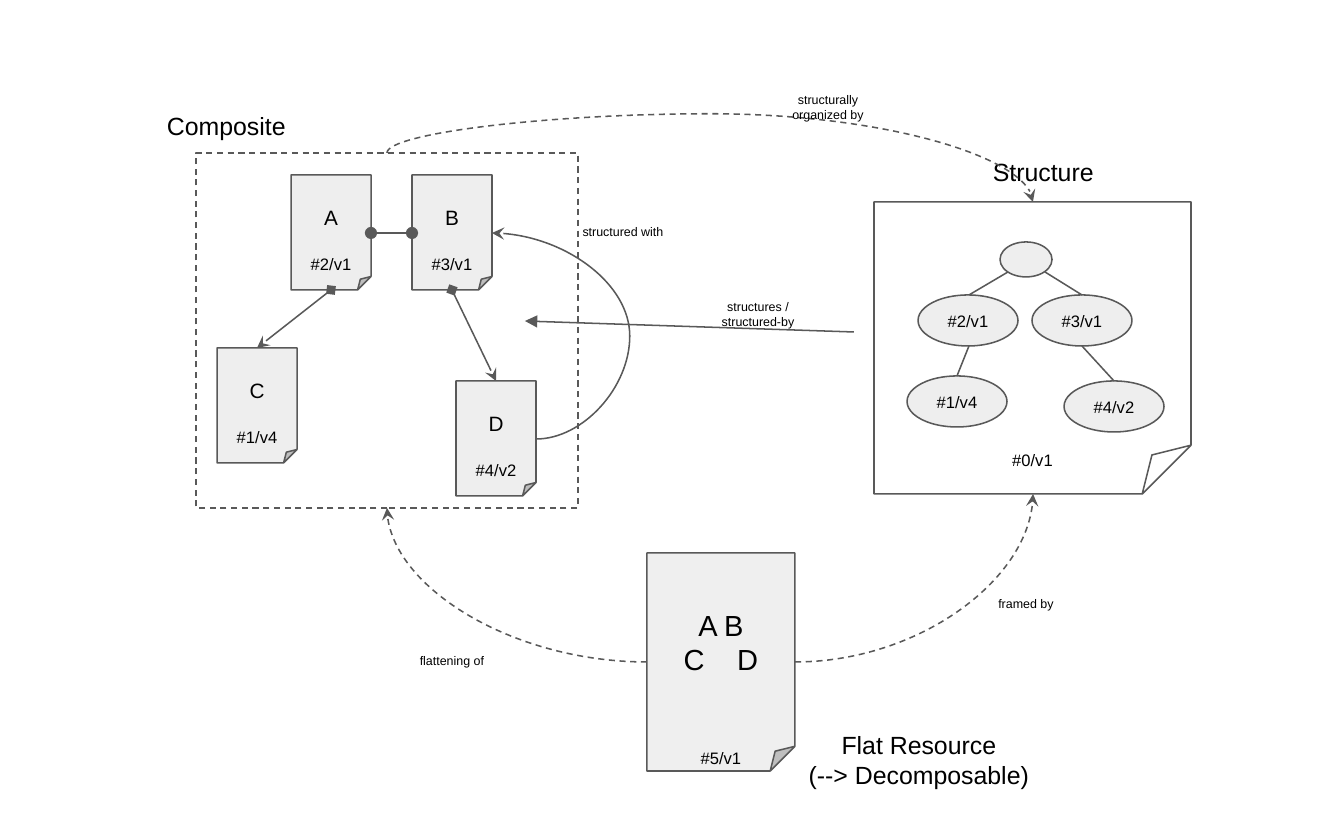
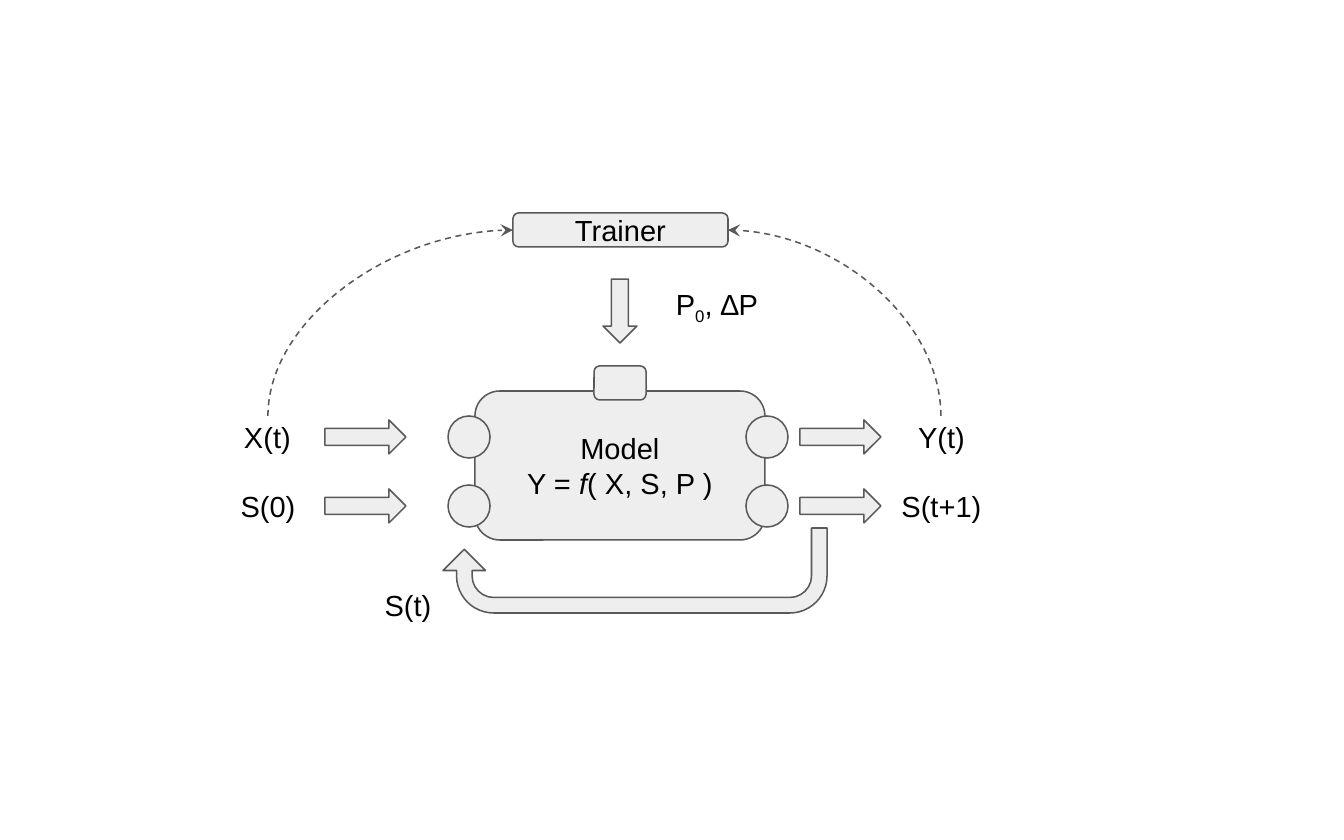
"""Two diagrams: composite resource structure, and a trained model with state."""
from lxml import etree
from pptx import Presentation
from pptx import util as u
from pptx.dml.color import RGBColor
from pptx.enum import dml, shapes, text
from pptx.oxml.ns import qn

PX = 914400 / 149.3
HEX = {"ink": "000000", "line": "595959", "fill": "EEEEEE", "flat": "EFEFEF"}
FONT = "Arial"
KIND = shapes.MSO_SHAPE
JOIN = shapes.MSO_CONNECTOR
MID, TOP = text.MSO_ANCHOR.MIDDLE, text.MSO_ANCHOR.TOP
LEFT, CENTER = text.PP_ALIGN.LEFT, text.PP_ALIGN.CENTER


def emu(*vals):
    """Turn pixels into EMU."""
    return [u.Emu(round(v * PX)) for v in vals]


def color(name):
    """Look up a colour by name."""
    return RGBColor.from_string(HEX[name])


def style(para, size, align=CENTER):
    """Format a whole paragraph."""
    para.alignment = align
    para.font.name = FONT
    para.font.size = u.Pt(size)
    para.font.color.rgb = color("ink")


def setup(shape, pad=(0, 0), anchor=MID):
    """Prepare a text frame with side and top padding in pixels."""
    frame = shape.text_frame
    side, top = emu(*pad)
    frame.margin_left = frame.margin_right = side
    frame.margin_top = top
    frame.margin_bottom = top if anchor == MID else 0
    frame.vertical_anchor = anchor
    frame.word_wrap = True
    return frame


def stroke(line, dash=False):
    """Apply the common outline."""
    line.color.rgb = color("line")
    line.width = u.Pt(0.75)
    if dash:
        line.dash_style = dml.MSO_LINE.DASH


def adjust(shape, vals):
    """Write the geometry guides of a shape or connector."""
    geom = shape._element.spPr.find(qn("a:prstGeom"))
    guides = geom.find(qn("a:avLst"))
    if guides is None:
        guides = etree.SubElement(geom, qn("a:avLst"))
    for old in list(guides):
        guides.remove(old)
    solo = geom.get("prst") in ("foldedCorner", "roundRect")
    for i, val in enumerate(vals, 1):
        etree.SubElement(guides, qn("a:gd"), name="adj" if solo else f"adj{i}",
                         fmla=f"val {round(val * 100000)}")


def block(to, kind, box, fill="fill", dash=False, adj=()):
    """Add an outlined preset shape."""
    shape = to.add_shape(kind, *emu(*box))
    shape.shadow.inherit = False
    stroke(shape.line, dash)
    if fill:
        shape.fill.solid()
        shape.fill.fore_color.rgb = color(fill)
    else:
        shape.fill.background()
    if adj:
        adjust(shape, adj)
    return shape


def write(shape, words, size):
    """Centre one paragraph in a shape and return it."""
    para = setup(shape).paragraphs[0]
    para.text = words
    style(para, size)
    return para


def label(to, box, words, size, anchor=TOP, align=CENTER):
    """Add a free text label and return its paragraph."""
    frame = setup(to.add_textbox(*emu(*box)), (15, 15), anchor)
    para = frame.paragraphs[0]
    para.text = words
    style(para, size, align)
    return para


def sheet(to, box, top, rows, fill="fill"):
    """Add a folded sheet; rows are (words, size, space before in points)."""
    shape = block(to, KIND.FOLDED_CORNER, box, fill, adj=[0.167])
    frame = setup(shape, (0, top), TOP)
    for i, (words, size, gap) in enumerate(rows):
        para = frame.add_paragraph() if i else frame.paragraphs[0]
        para.text = words
        style(para, size)
        if gap:
            para.space_before = u.Pt(gap)
    return frame


def link(to, start, end, head=None, tail=None, dash=False, kind=JOIN.STRAIGHT):
    """Add a connector with optional ends."""
    wire = to.add_connector(kind, *emu(*start, *end))
    stroke(wire.line, dash)
    props = wire._element.spPr
    etree.SubElement(props, qn("a:effectLst"))
    for tag, val in (("a:headEnd", head), ("a:tailEnd", tail)):
        if val:
            etree.SubElement(props.find(qn("a:ln")), qn(tag), type=val)
    return wire


def curve(to, start, end, bend=None, steep=False, dash=True):
    """Add a curved arrow; bend makes it a U, steep makes it leave vertically."""
    wire = link(to, start, end, tail="stealth", dash=dash, kind=JOIN.CURVE)
    dx, dy = end[0] - start[0], end[1] - start[1]
    wide, high = abs(dx), abs(dy)
    if steep:
        wide, high = high, wide
        turn = 270 if dx > 0 else 90
        flip = (dy > 0) == (dx > 0)
    else:
        turn = 180 if dy < 0 else 0
        flip = (dx < 0) != (dy < 0)
    mid = (start[0] + end[0]) / 2, (start[1] + end[1]) / 2
    wire.left, wire.top, wire.width, wire.height = emu(
        mid[0] - wide / 2, mid[1] - high / 2, wide, high)
    frame = wire._element.spPr.find(qn("a:xfrm"))
    for name in ("flipH", "flipV"):
        frame.attrib.pop(name, None)
    frame.set("rot", str(turn * 60000))
    if flip:
        frame.set("flipH", "1")
    if bend is None:
        geom = wire._element.spPr.find(qn("a:prstGeom"))
        geom.set("prst", "curvedConnector2")
    else:
        adjust(wire, [bend])


def tree(to):
    """Draw the structure sheet with its tree of references."""
    group = to.add_group_shape().shapes
    nodes = [(918, 295, "#2/v1"), (1032, 295, "#3/v1"),
             (907, 376, "#1/v4"), (1064, 381, "#4/v2")]
    for x, y, words in nodes:
        write(block(group, KIND.OVAL, (x, y, 100, 51)), words, 8)
    block(group, KIND.OVAL, (1000, 242, 52, 35))
    for start, end in [((1008, 272), (969, 295)), ((1045, 272), (1082, 295)),
                       ((969, 346), (957, 376)), ((1082, 346), (1114, 381))]:
        link(group, start, end)
    sheet(group, (874, 202, 317, 292), 252, [("#0/v1", 8, 0)], None)


def resources(to):
    """Slide one: composite, structure and flat resource."""
    block(to, KIND.RECTANGLE, (196, 153, 382, 355), None, True)
    frame = sheet(to, (647, 553, 148, 218), 54,
                  [("A B", 14, 0), ("C", 14, 0), ("#5/v1", 8, 34.5)], "flat")
    row = frame.paragraphs[1]
    gap = row.add_run()
    gap.text = " "
    gap._r.get_or_add_rPr().set("spc", "1170")
    row.add_run().text = "D"
    for x, y, name, ref in [(217, 348, "C", "#1/v4"), (291, 175, "A", "#2/v1"),
                            (412, 175, "B", "#3/v1"), (456, 381, "D", "#4/v2")]:
        sheet(to, (x, y, 80, 115), 30, [(name, 10, 0), (ref, 8, 11.5)])
    link(to, (371, 233), (412, 233), "oval", "oval", kind=JOIN.ELBOW)
    link(to, (331, 290), (257, 348), "diamond", "stealth")
    link(to, (452, 290), (496, 381), "diamond", "stealth")
    tree(to)
    label(to, (152, 96, 196, 51), "Composite", 12, align=LEFT)
    label(to, (978, 142, 152, 51), "Structure", 12, align=LEFT)
    label(to, (778, 715, 282, 69), "Flat Resource\v(--> Decomposable)", 12)
    link(to, (854, 332), (525, 321), tail="triangle")
    curve(to, (536, 439), (492, 233), -2.13, dash=False)
    curve(to, (387, 153), (1033, 202), -0.8, steep=True)
    curve(to, (647, 662), (387, 508))
    curve(to, (795, 662), (1033, 494))
    for x, y, words in [(696, 284, "structures / structured-by"),
                        (561, 209, "structured with"),
                        (766, 77, "structurally organized by"),
                        (390, 638, "flattening of"), (964, 581, "framed by")]:
        label(to, (x, y, 124, 48), words, 6)


def model(to):
    """Slide two: model with inputs, outputs, feedback and trainer."""
    body = block(to, KIND.ROUNDED_RECTANGLE, (475, 391, 290, 149), adj=[0.167])
    para = write(body, "Model\vY = ", 14)
    func = para.add_run()
    func.text = "f"
    func.font.italic = True
    para.add_run().text = "( X, S, P )"
    for y in (416, 485):
        for x in (448, 746):
            block(to, KIND.OVAL, (x, y, 42, 42))
        for x in (325, 800):
            block(to, KIND.RIGHT_ARROW, (x, y + 4, 81, 34))
    loop = block(to, KIND.U_TURN_ARROW, (443, 528, 384, 85),
                 adj=[0.183, 0.25, 0.25, 0.438, 0.75])
    loop.rotation = 180
    for box, words in [((227, 416, 81, 42), "X(t)"), ((221, 485, 94, 42), "S(0)"),
                       ((361, 584, 94, 42), "S(t)"), ((881, 485, 121, 42), "S(t+1)"),
                       ((881, 416, 121, 42), "Y(t)")]:
        label(to, box, words, 14, MID)
    block(to, KIND.ROUNDED_RECTANGLE, (594, 366, 52, 34), adj=[0.167])
    block(to, KIND.DOWN_ARROW, (603, 279, 34, 64))
    top = block(to, KIND.ROUNDED_RECTANGLE, (513, 213, 215, 34), adj=[0.167])
    write(top, "Trainer", 14)
    para = label(to, (646, 285, 142, 42), "P", 14, MID)
    sub = para.add_run()
    sub.text = "0"
    sub._r.get_or_add_rPr().set("baseline", "-25000")
    para.add_run().text = ", ∆P"
    curve(to, (268, 416), (513, 230), steep=True)
    curve(to, (941, 416), (728, 230), steep=True)


def main():
    """Build and save the deck."""
    deck = Presentation()
    deck.slide_width, deck.slide_height = emu(1344, 840)
    for draw in (resources, model):
        draw(deck.slides.add_slide(deck.slide_layouts[6]).shapes)
    deck.save("out.pptx")


main()
